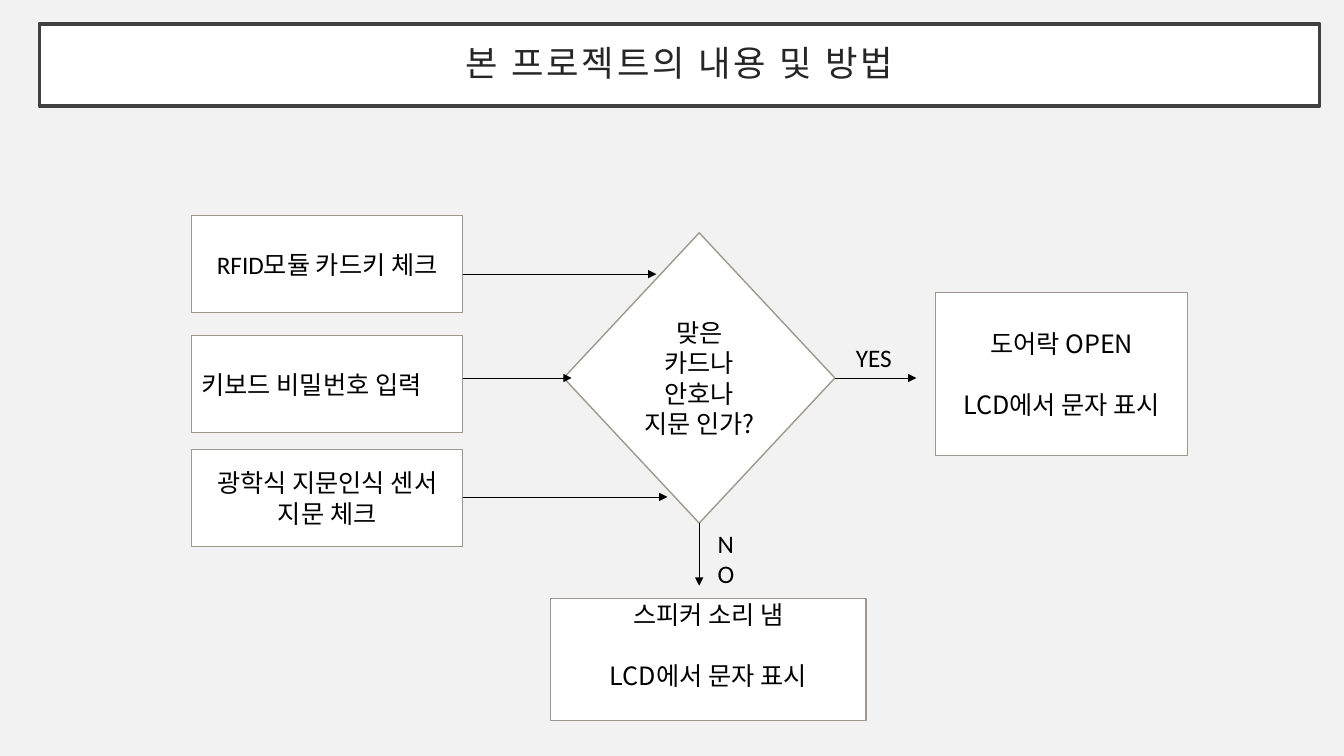
import pptx
import pptx.util
import pptx.dml.color
import pptx.enum.shapes
import pptx.enum.text
import pptx.oxml.ns
from lxml import etree

Inches = pptx.util.Inches
Pt = pptx.util.Pt
RGBColor = pptx.dml.color.RGBColor
SHAPE = pptx.enum.shapes.MSO_SHAPE
ALIGN = pptx.enum.text.PP_ALIGN
ANCHOR = pptx.enum.text.MSO_ANCHOR
qn = pptx.oxml.ns.qn

BACKGROUND = RGBColor(0xF2, 0xF2, 0xF2)
WHITE = RGBColor(0xFF, 0xFF, 0xFF)
BLACK = RGBColor(0, 0, 0)
TITLE_TEXT = RGBColor(0x26, 0x26, 0x26)
TITLE_BORDER = RGBColor(0x40, 0x40, 0x40)
BOX_BORDER = RGBColor(0xA0, 0x98, 0x8C)
KOREAN = "Noto Sans CJK KR"
LATIN = "Calibri"

INPUT_LEFT, INPUT_WIDTH, INPUT_HEIGHT = 1.9, 2.69, 0.96
INPUT_RIGHT = INPUT_LEFT + INPUT_WIDTH
DECISION_LEFT, DECISION_TOP = 5.59, 2.31
DECISION_WIDTH, DECISION_HEIGHT = 2.69, 2.88
DECISION_RIGHT = DECISION_LEFT + DECISION_WIDTH
DECISION_BOTTOM = DECISION_TOP + DECISION_HEIGHT
CENTER_X = DECISION_LEFT + DECISION_WIDTH / 2
CENTER_Y = DECISION_TOP + DECISION_HEIGHT / 2


def write_text(frame, paragraphs, font=KOREAN, size=18, color=BLACK,
               align=ALIGN.CENTER, gap=0, line_spacing=None, tracking=None):
    for index, content in enumerate(paragraphs):
        paragraph = frame.paragraphs[0] if index == 0 else frame.add_paragraph()
        paragraph.alignment = align
        if line_spacing:
            paragraph.line_spacing = line_spacing
        if index and gap:
            paragraph.space_before = Pt(gap)
        pieces = [(content, font)] if isinstance(content, str) else content
        for words, typeface in pieces:
            run = paragraph.add_run()
            run.text = words
            run.font.size = Pt(size)
            run.font.color.rgb = color
            run.font.name = typeface
            properties = run.font._element
            etree.SubElement(properties, qn("a:ea")).set("typeface", typeface)
            if tracking:
                properties.set("spc", str(tracking * 100))


def add_box(slide, left, top, width, height, paragraphs, kind=SHAPE.RECTANGLE,
            border=BOX_BORDER, border_width=1, anchor=ANCHOR.MIDDLE,
            top_inset=0.05, **text_format):
    box = slide.shapes.add_shape(kind, Inches(left), Inches(top),
                                 Inches(width), Inches(height))
    box.shadow.inherit = False
    box.fill.solid()
    box.fill.fore_color.rgb = WHITE
    box.line.color.rgb = border
    box.line.width = Pt(border_width)
    frame = box.text_frame
    frame.word_wrap = True
    frame.vertical_anchor = anchor
    frame.margin_top = Inches(top_inset)
    write_text(frame, paragraphs, **text_format)


def add_label(slide, left, top, width, height, paragraphs):
    label = slide.shapes.add_textbox(Inches(left), Inches(top),
                                     Inches(width), Inches(height))
    label.text_frame.word_wrap = False
    write_text(label.text_frame, paragraphs, font=LATIN, align=ALIGN.LEFT)


def add_arrow(slide, start_x, start_y, end_x, end_y):
    arrow = slide.shapes.add_connector(
        pptx.enum.shapes.MSO_CONNECTOR.STRAIGHT,
        Inches(start_x), Inches(start_y), Inches(end_x), Inches(end_y))
    arrow.line.color.rgb = BLACK
    arrow.line.width = Pt(0.5)
    etree.SubElement(arrow.line._get_or_add_ln(), qn("a:tailEnd")).set("type", "triangle")
    etree.SubElement(arrow._element.spPr, qn("a:effectLst"))


def main():
    deck = pptx.Presentation()
    deck.slide_width = Inches(13.33)
    deck.slide_height = Inches(7.5)
    slide = deck.slides.add_slide(deck.slide_layouts[6])
    slide.background.fill.solid()
    slide.background.fill.fore_color.rgb = BACKGROUND

    add_box(slide, 0.39, 0.24, 12.7, 0.81, ["본 프로젝트의 내용 및 방법"],
            border=TITLE_BORDER, border_width=2.5, size=25.2,
            color=TITLE_TEXT, line_spacing=0.9, tracking=2)

    checks = [
        (2.14, [("RFID", LATIN), ("모듈 카드키 체크", KOREAN)], ALIGN.CENTER),
        (3.33, "키보드 비밀번호 입력", ALIGN.JUSTIFY),
        (4.46, "광학식 지문인식 센서 지문 체크", ALIGN.CENTER),
    ]
    for top, caption, align in checks:
        add_box(slide, INPUT_LEFT, top, INPUT_WIDTH, INPUT_HEIGHT, [caption], align=align)

    add_box(slide, DECISION_LEFT, DECISION_TOP, DECISION_WIDTH, DECISION_HEIGHT,
            ["맞은 카드나", "안호나 지문 인가?"], kind=SHAPE.DIAMOND)
    add_box(slide, 9.28, 2.9, 2.5, 1.62, ["도어락 OPEN", "LCD에서 문자 표시"], gap=21.5)
    add_box(slide, 5.46, 5.94, 3.13, 1.21, ["스피커 소리 냄", "LCD에서 문자 표시"],
            anchor=ANCHOR.TOP, top_inset=0.01, gap=21.5)

    for y, tip_x in [(2.72, 6.51), (CENTER_Y, 5.67), (4.93, 6.62)]:
        add_arrow(slide, INPUT_RIGHT, y, tip_x, y)
    add_arrow(slide, DECISION_RIGHT, CENTER_Y, 9.09, CENTER_Y)
    add_arrow(slide, CENTER_X, DECISION_BOTTOM, CENTER_X, 5.81)

    add_label(slide, 8.39, 3.35, 0.6, 0.4, ["YES"])
    add_label(slide, 7.02, DECISION_BOTTOM, 0.41, 0.71, ["N", "O"])

    deck.save("out.pptx")


if __name__ == "__main__":
    main()
